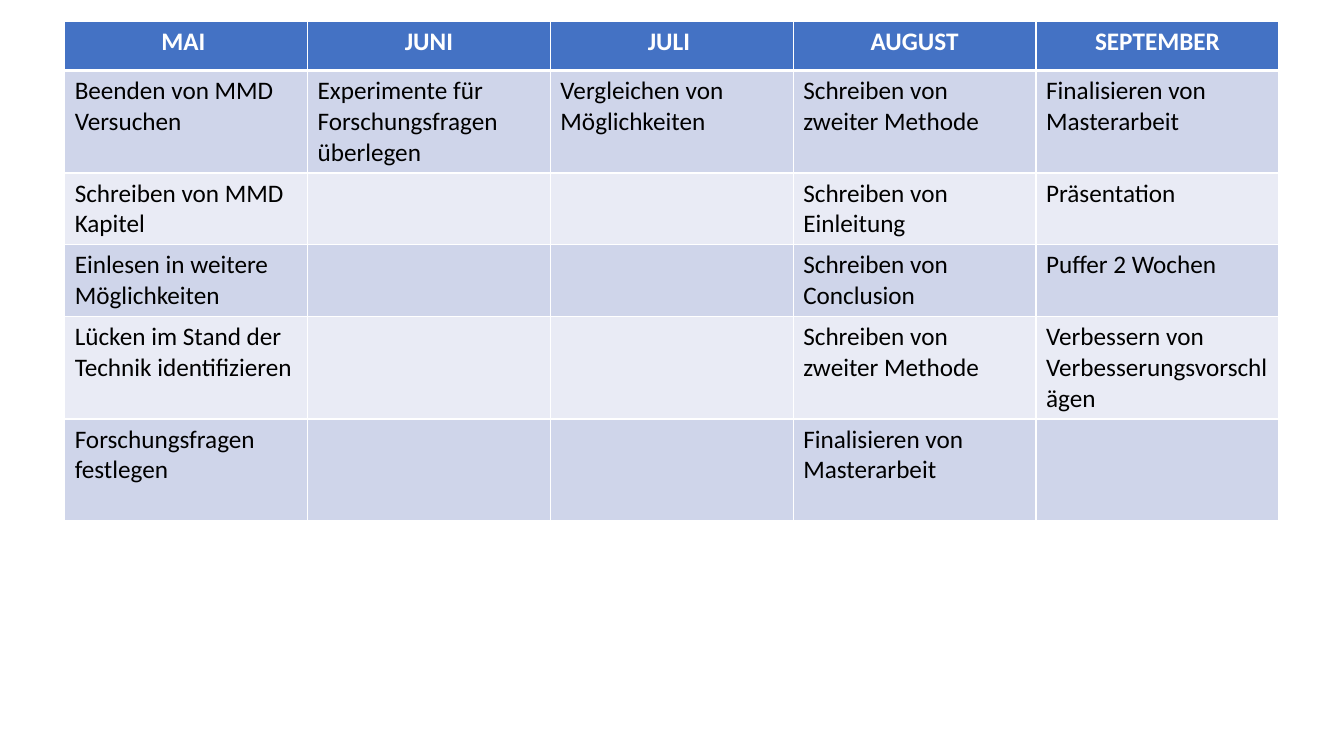
"""Builds a schedule slide with the tasks for each month from May to September."""
from lxml.etree import SubElement
from pptx import Presentation
from pptx.dml.color import RGBColor
from pptx.enum.text import PP_ALIGN as Align
from pptx.oxml.ns import qn
from pptx.util import Cm, Pt

WHITE, BLACK, HEADER_BLUE = "FFFFFF", "000000", "4472C4"
BANDS = ("CFD5EA", "E9EBF5")
COLUMN_WIDTH = 6.12
ROW_HEIGHTS = (1.23, 2.58, 1.81, 1.81, 2.58, 2.57)
MONTHS = ("MAI ", "JUNI", "JULI ", "AUGUST", "SEPTEMBER")
TASKS = (
    ("Beenden von MMD Versuchen", "Experimente für Forschungsfragen überlegen",
     "Vergleichen von Möglichkeiten", "Schreiben von zweiter Methode",
     "Finalisieren von Masterarbeit"),
    ("Schreiben von MMD Kapitel", "", "", "Schreiben von Einleitung", "Präsentation"),
    ("Einlesen in weitere Möglichkeiten", "", "", "Schreiben von Conclusion",
     "Puffer 2 Wochen"),
    ("Lücken im Stand der Technik identifizieren", "", "",
     "Schreiben von zweiter Methode", "Verbessern von Verbesserungsvorschlägen"),
    ("Forschungsfragen festlegen", "", "", "Finalisieren von Masterarbeit", ""),
)


def color(hex_code):
    """Return the colour for a hex string."""
    return RGBColor.from_string(hex_code)


def write(frame, text, size=18, font="Calibri", ink=BLACK, bold=False, align=Align.LEFT):
    """Write formatted text into a text frame."""
    paragraph = frame.paragraphs[0]
    paragraph.alignment = align
    if text:
        run = paragraph.add_run()
        run.text = text
        run.font.size, run.font.name, run.font.bold = Pt(size), font, bold
        run.font.color.rgb = color(ink)


def add_borders(cell, top=1, bottom=1):
    """Draw white borders around a cell, with widths in points."""
    properties = cell._tc.get_or_add_tcPr()
    for side, width in (("L", 1), ("R", 1), ("T", top), ("B", bottom)):
        line = SubElement(properties, qn(f"a:ln{side}"), w=str(Pt(width)))
        SubElement(SubElement(line, qn("a:solidFill")), qn("a:srgbClr"), val=WHITE)


def fill_cell(cell, text, background, top=1, bottom=1, **text_format):
    """Give a cell its borders, background and text."""
    add_borders(cell, top, bottom)
    cell.fill.solid()
    cell.fill.fore_color.rgb = color(background)
    write(cell.text_frame, text, **text_format)


def add_schedule(slide, left, top):
    """Add the table with one column of tasks for each month."""
    schedule = slide.shapes.add_table(
        len(ROW_HEIGHTS), len(MONTHS), Cm(left), Cm(top),
        Cm(COLUMN_WIDTH * len(MONTHS)), Cm(sum(ROW_HEIGHTS))).table
    for column in schedule.columns:
        column.width = Cm(COLUMN_WIDTH)
    for row, height in zip(schedule.rows, ROW_HEIGHTS):
        row.height = Cm(height)
    for column, month in enumerate(MONTHS):
        fill_cell(schedule.cell(0, column), month, HEADER_BLUE, bottom=3,
                  ink=WHITE, bold=True, align=Align.CENTER)
    for row, tasks in enumerate(TASKS, start=1):
        for column, task in enumerate(tasks):
            fill_cell(schedule.cell(row, column), task, BANDS[(row - 1) % 2],
                      top=3 if row == 1 else 1)


def main():
    """Build and save the presentation."""
    deck = Presentation()
    deck.slide_width, deck.slide_height = Cm(33.87), Cm(19.05)
    slide = deck.slides.add_slide(deck.slide_layouts[6])
    add_schedule(slide, left=1.63, top=0.55)
    deck.save("out.pptx")


if __name__ == "__main__":
    main()
